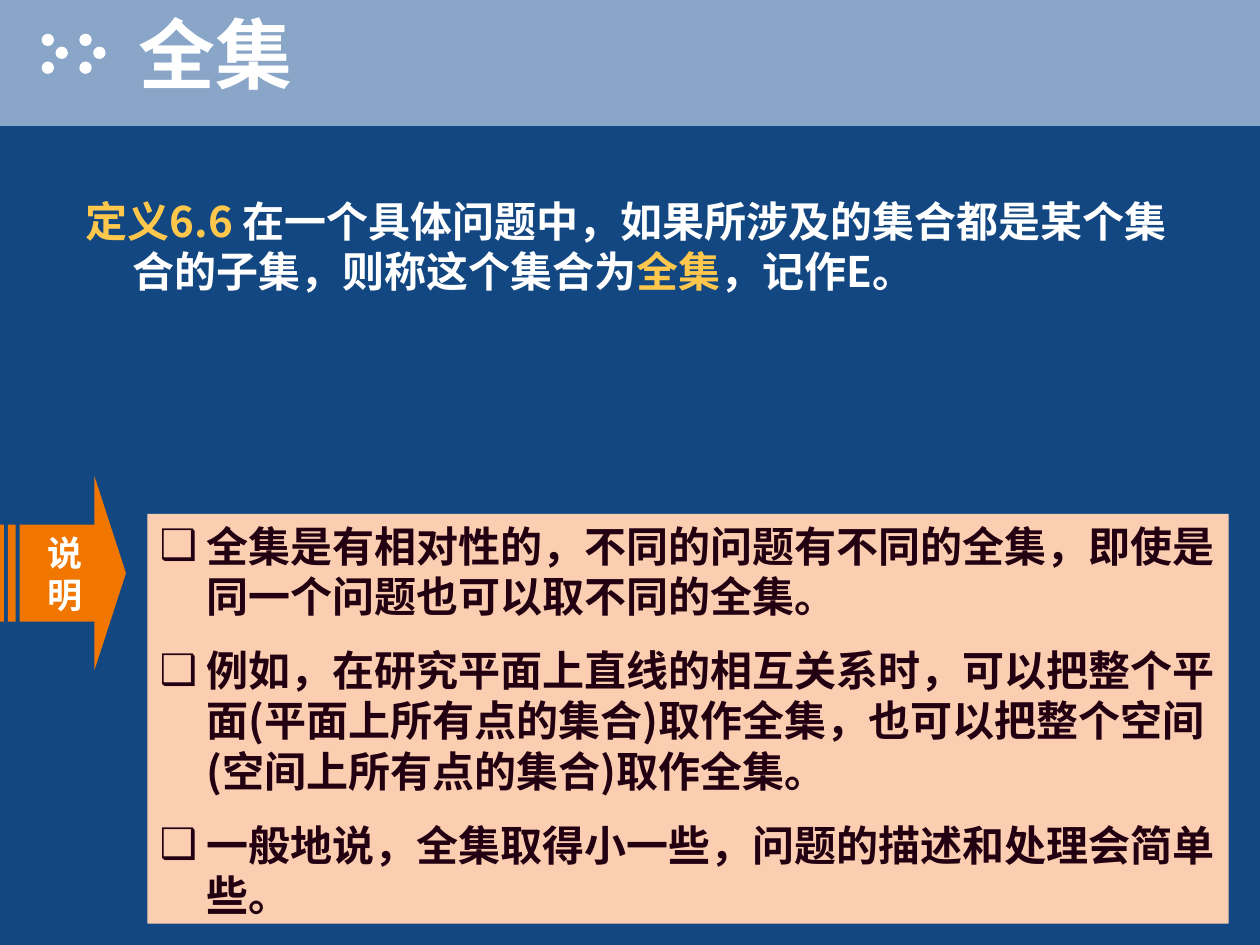
from dataclasses import dataclass

from lxml.etree import SubElement
from pptx import Presentation
from pptx.dml.color import RGBColor
from pptx.enum.shapes import MSO_SHAPE
from pptx.enum.text import MSO_ANCHOR, PP_ALIGN
from pptx.oxml.ns import qn
from pptx.util import Cm, Pt

CJK, ARIAL = "Noto Sans CJK SC", "Arial"
WHITE, GOLD, DARK = "FFFFFF", "FFC84D", "220011"
INDENT = Cm(0.95)


@dataclass
class Box:
    left: float
    top: float
    width: float
    height: float

    def lengths(self) -> list:
        return [Cm(v) for v in (self.left, self.top, self.width, self.height)]


@dataclass
class Span:
    text: str
    color: str
    size: float = 24
    font: str = CJK


def rgb(color: str) -> RGBColor:
    return RGBColor.from_string(color)


def add_shape(slide, kind, box: Box, color: str):
    sp = slide.shapes.add_shape(kind, *box.lengths())
    sp.shadow.inherit = False
    sp.fill.solid()
    sp.fill.fore_color.rgb = rgb(color)
    sp.line.fill.background()
    return sp


def setup_frame(sp, anchor=MSO_ANCHOR.TOP):
    tf = sp.text_frame
    formats = {"word_wrap": True, "vertical_anchor": anchor}
    for name, value in formats.items():
        setattr(tf, name, value)
    return tf


def write(p, spans: list[Span], align=PP_ALIGN.LEFT) -> None:
    p.alignment = align
    for span in spans:
        r = p.add_run()
        r.text = span.text
        formats = {"size": Pt(span.size), "bold": True, "name": span.font}
        for name, value in formats.items():
            setattr(r.font, name, value)
        r.font.color.rgb = rgb(span.color)
        ea = SubElement(r.font._element, qn("a:ea"))
        ea.set("typeface", span.font)


def hang(p, bullet: str = "") -> None:
    pPr = p._p.get_or_add_pPr()
    pPr.set("marL", str(INDENT))
    pPr.set("indent", str(-INDENT))
    if bullet:
        color = SubElement(pPr, qn("a:buClr"))
        SubElement(color, qn("a:srgbClr")).set("val", DARK)
        SubElement(pPr, qn("a:buFont")).set("typeface", ARIAL)
        SubElement(pPr, qn("a:buChar")).set("char", bullet)


def add_text_shadow(r) -> None:
    effects = r.font._element.makeelement(qn("a:effectLst"), {})
    shadow = SubElement(effects, qn("a:outerShdw"),
                        dist="35921", dir="2700000", algn="ctr")
    SubElement(shadow, qn("a:srgbClr")).set("val", DARK)
    r.font._element.find(qn("a:solidFill")).addnext(effects)


prs = Presentation()
prs.slide_width, prs.slide_height = Cm(25.4), Cm(19.05)
s = prs.slides.add_slide(prs.slide_layouts[6])
s.background.fill.solid()
s.background.fill.fore_color.rgb = rgb("134781")

# Title band with two groups of three dots
add_shape(s, MSO_SHAPE.RECTANGLE, Box(0, 0, 25.4, 2.54), "89A5C7")
for left in (0.84, 1.6):
    for dx, top in ((0, 0.68), (0.28, 0.94), (0, 1.24)):
        add_shape(s, MSO_SHAPE.OVAL, Box(left + dx, top, 0.25, 0.25), WHITE)

# Title
sp = s.shapes.add_textbox(*Box(2.54, 0, 22.86, 2.12).lengths())
p = setup_frame(sp, MSO_ANCHOR.MIDDLE).paragraphs[0]
write(p, [Span("全集", WHITE, 44)])
add_text_shadow(p.runs[0])

# Definition
sp = s.shapes.add_textbox(*Box(1.48, 3.81, 22.65, 3.18).lengths())
p = setup_frame(sp).paragraphs[0]
hang(p)
write(p, [
    Span("定义6.6 ", GOLD),
    Span("在一个具体问题中，如果所涉及的集合都是某个集合的子集，则称这个集合为", WHITE),
    Span("全集", GOLD),
    Span("，记作E。", WHITE),
])

# Arrow label
sp = add_shape(s, MSO_SHAPE.STRIPED_RIGHT_ARROW, Box(0, 9.6, 2.54, 3.91), "F07600")
sp.adjustments[0], sp.adjustments[1] = 0.5, 0.25
p = setup_frame(sp, MSO_ANCHOR.MIDDLE).paragraphs[0]
write(p, [Span("说明", WHITE, 20, ARIAL)], PP_ALIGN.CENTER)

# Remarks
REMARKS = [
    "全集是有相对性的，不同的问题有不同的全集，即使是同一个问题也可以取不同的全集。",
    "例如，在研究平面上直线的相互关系时，可以把整个平面(平面上所有点的集合)取作全集，"
    "也可以把整个空间(空间上所有点的集合)取作全集。",
    "一般地说，全集取得小一些，问题的描述和处理会简单些。",
]
sp = add_shape(s, MSO_SHAPE.RECTANGLE, Box(2.97, 10.36, 21.8, 8.26), "FCCEB1")
tf = setup_frame(sp)
for i, remark in enumerate(REMARKS):
    p = tf.add_paragraph() if i else tf.paragraphs[0]
    hang(p, "❑")
    if i:
        p.space_before = Pt(13.5)
    write(p, [Span(remark, DARK)])

prs.save("out.pptx")
